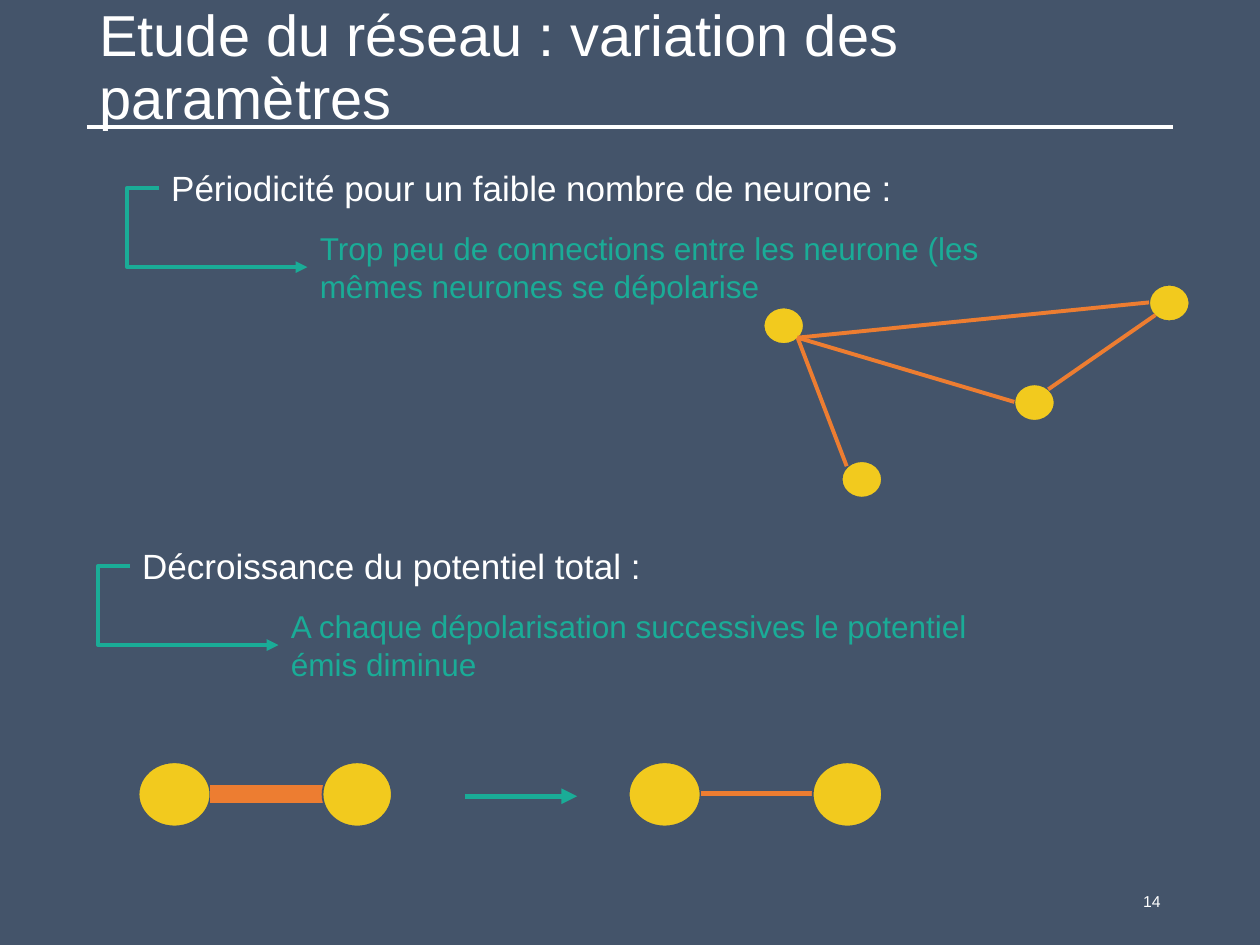
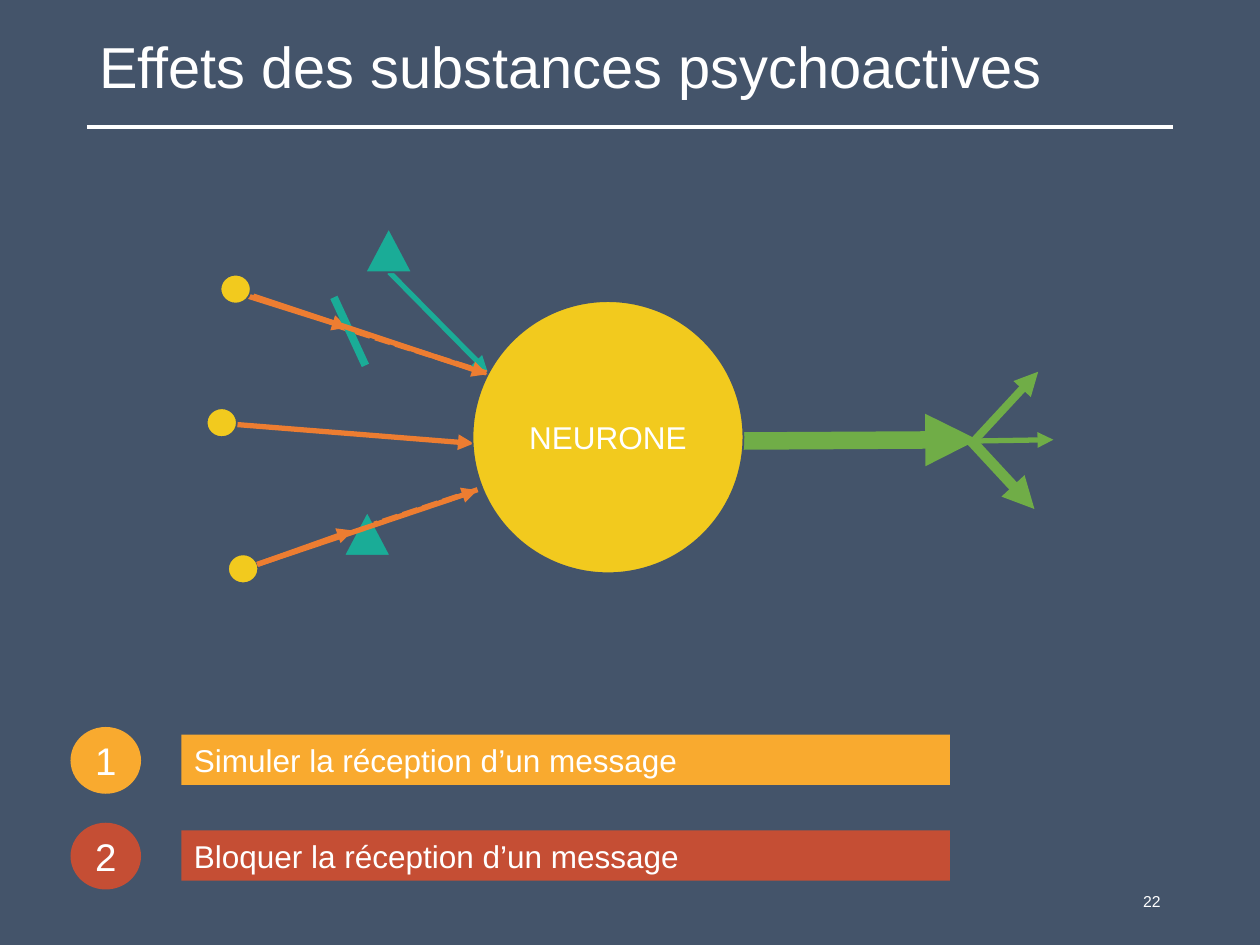
import pptx
import pptx.dml.color
import pptx.enum.dml
import pptx.enum.shapes
import pptx.enum.text
import pptx.oxml
import pptx.oxml.ns
import pptx.util

Inches = pptx.util.Inches
SHAPE = pptx.enum.shapes.MSO_SHAPE
CONNECTOR = pptx.enum.shapes.MSO_CONNECTOR
ALIGN = pptx.enum.text.PP_ALIGN
ANCHOR = pptx.enum.text.MSO_ANCHOR

FONT = "Arial"
COLORS = {
    "background": "44546A",
    "white": "FFFFFF",
    "neuron": "F2CA1E",
    "link": "ED7D31",
    "teal": "1AAC97",
    "output": "70AD47",
    "amber": "F9AA2F",
    "red": "C54E34",
}


def rgb(name):
    return pptx.dml.color.RGBColor.from_string(COLORS[name])


def append_xml(parent, tag, **attributes):
    element = pptx.oxml.parse_xml(f"<a:{tag} {pptx.oxml.ns.nsdecls('a')}/>")
    for name, value in attributes.items():
        element.set(name, value)
    parent.append(element)


class Deck:
    def __init__(self):
        self.presentation = pptx.Presentation()
        self.presentation.slide_width = Inches(10)
        self.presentation.slide_height = Inches(7.5)
        fill = self.presentation.slide_master.background.fill
        fill.solid()
        fill.fore_color.rgb = rgb("background")
        self.slide = None

    def new_slide(self, title, number):
        self.slide = self.presentation.slides.add_slide(self.presentation.slide_layouts[6])
        self.line((0.69, 1.01), (9.31, 1.01), "white", 2.25, arrow=False)
        heading = self.text((0.69, 0.09, 8.62, 0.92), title, 33, anchor=ANCHOR.MIDDLE)
        heading.text_frame.paragraphs[0].line_spacing = 0.9
        self.text((7.06, 6.95, 2.25, 0.4), str(number), 9,
                  align=ALIGN.RIGHT, anchor=ANCHOR.MIDDLE)

    def set_text(self, shape, text, size, color="white", align=ALIGN.LEFT, anchor=ANCHOR.TOP):
        frame = shape.text_frame
        frame.word_wrap = True
        frame.vertical_anchor = anchor
        frame.text = text
        paragraph = frame.paragraphs[0]
        paragraph.alignment = align
        font = paragraph.runs[0].font
        font.name = FONT
        font.size = pptx.util.Pt(size)
        font.color.rgb = rgb(color)

    def text(self, box, text, size, color="white", **layout):
        shape = self.slide.shapes.add_textbox(*map(Inches, box))
        self.set_text(shape, text, size, color, **layout)
        return shape

    def shape(self, kind, box, fill, outlined=True):
        shape = self.slide.shapes.add_shape(kind, *map(Inches, box))
        shape.shadow.inherit = False
        shape.fill.solid()
        shape.fill.fore_color.rgb = rgb(fill)
        if outlined:
            shape.line.color.rgb = rgb("background")
            shape.line.width = pptx.util.Pt(1)
        else:
            shape.line.fill.background()
        return shape

    def neuron(self, left, top, width, height):
        return self.shape(SHAPE.OVAL, (left, top, width, height), "neuron")

    def centered_label(self, shape, text, size):
        frame = shape.text_frame
        frame.margin_left = frame.margin_right = Inches(0.07)
        frame.margin_top = frame.margin_bottom = Inches(0.04)
        self.set_text(shape, text, size, align=ALIGN.CENTER, anchor=ANCHOR.MIDDLE)

    def line(self, start, end, color, width, arrow=True, dashed=False,
             kind=CONNECTOR.STRAIGHT):
        connector = self.slide.shapes.add_connector(kind, *map(Inches, start + end))
        connector.line.color.rgb = rgb(color)
        connector.line.width = pptx.util.Pt(width)
        if dashed:
            connector.line.dash_style = pptx.enum.dml.MSO_LINE.SQUARE_DOT
        properties = connector._element.spPr
        if arrow:
            append_xml(properties.find(pptx.oxml.ns.qn("a:ln")), "tailEnd", type="triangle")
        append_xml(properties, "effectLst")
        return connector

    def finding(self, left, top, statement, explanation):
        """Statement with a bent arrow leading to its explanation."""
        self.text((left, top, 7.09, 0.44), statement, 20)
        self.text((left + 1.18, top + 0.5, 6.07, 0.71), explanation, 18, "teal")
        bend = self.line((left, top + 0.22), (left + 1.18, top + 0.85), "teal", 2.25,
                         kind=CONNECTOR.ELBOW)
        geometry = bend._element.spPr.find(pptx.oxml.ns.qn("a:prstGeom"))
        for guides in geometry.findall(pptx.oxml.ns.qn("a:avLst")):
            geometry.remove(guides)
        append_xml(geometry, "avLst")
        append_xml(geometry[0], "gd", name="adj1", fmla="val -21200")

    def neuron_pair(self, left, link_width):
        self.neuron(left, 6.05, 0.57, 0.51)
        self.line((left + 0.57, 6.3), (left + 1.46, 6.3), "link", link_width, arrow=False)
        self.neuron(left + 1.46, 6.05, 0.55, 0.51)

    def numbered_band(self, top, number, text, color):
        band = self.shape(SHAPE.RECTANGLE, (1.44, top, 6.1, 0.4), color, outlined=False)
        self.set_text(band, text, 18)
        badge = self.shape(SHAPE.OVAL, (0.56, top - 0.06, 0.56, 0.53), color, outlined=False)
        self.centered_label(badge, str(number), 22)


def build_network_slide(deck):
    deck.new_slide("Etude du réseau : variation des paramètres", 14)

    for left, top in [(6.06, 2.44), (8.05, 3.05), (6.68, 3.66), (9.12, 2.26)]:
        deck.neuron(left, top, 0.32, 0.29)
    hub = (6.33, 2.68)
    for start, end in [(hub, (8.05, 3.19)), (hub, (6.72, 3.7)),
                       (hub, (9.12, 2.4)), ((9.17, 2.5), (8.32, 3.09))]:
        deck.line(start, end, "link", 2.25, arrow=False)

    deck.finding(1.26, 1.27, "Périodicité pour un faible nombre de neurone :",
                 "Trop peu de connections entre les neurone (les mêmes neurones se dépolarise")
    deck.finding(1.03, 4.27, "Décroissance du potentiel total :",
                 "A chaque dépolarisation successives le potentiel émis diminue")

    deck.neuron_pair(1.1, link_width=10)
    deck.line((3.69, 6.32), (4.58, 6.32), "teal", 3)
    deck.neuron_pair(4.99, link_width=3)


def build_substances_slide(deck):
    deck.new_slide("Effets des substances psychoactives", 22)

    for start, end in [((1.84, 2.31), (2.76, 2.6)), ((1.76, 3.36), (3.76, 3.52)),
                       ((1.93, 4.52), (2.8, 4.21))]:
        deck.line(start, end, "link", 3)
    for left, top in [(1.75, 2.18), (1.64, 3.24), (1.81, 4.4)]:
        deck.neuron(left, top, 0.24, 0.23)

    for start, end, width in [((5.9, 3.5), (7.76, 3.49), 10),
                              ((7.74, 3.49), (8.24, 2.95), 4.5),
                              ((7.74, 3.5), (8.36, 3.49), 3),
                              ((7.71, 3.5), (8.21, 4.04), 6)]:
        deck.line(start, end, "output", width)

    deck.numbered_band(5.83, 1, "Simuler la réception d’un message", "amber")
    deck.numbered_band(6.59, 2, "Bloquer la réception d’un message", "red")

    deck.line((3.09, 2.16), (3.87, 2.95), "teal", 3)
    deck.line((2.66, 2.58), (3.86, 2.96), "link", 3, arrow=False, dashed=True)
    deck.line((2.65, 2.36), (2.9, 2.9), "teal", 4.5, arrow=False)
    deck.line((2.88, 4.19), (3.87, 3.86), "link", 3, arrow=False, dashed=True)
    for left, top in [(2.9, 1.81), (2.73, 4.06)]:
        deck.shape(SHAPE.ISOSCELES_TRIANGLE, (left, top, 0.37, 0.35), "teal")

    deck.centered_label(deck.neuron(3.75, 2.39, 2.15, 2.16), "NEURONE", 18)
    deck.line((2.01, 2.35), (3.87, 2.97), "link", 3)
    deck.line((2.04, 4.48), (3.79, 3.89), "link", 3)


def main():
    deck = Deck()
    build_network_slide(deck)
    build_substances_slide(deck)
    deck.presentation.save("out.pptx")


if __name__ == "__main__":
    main()
